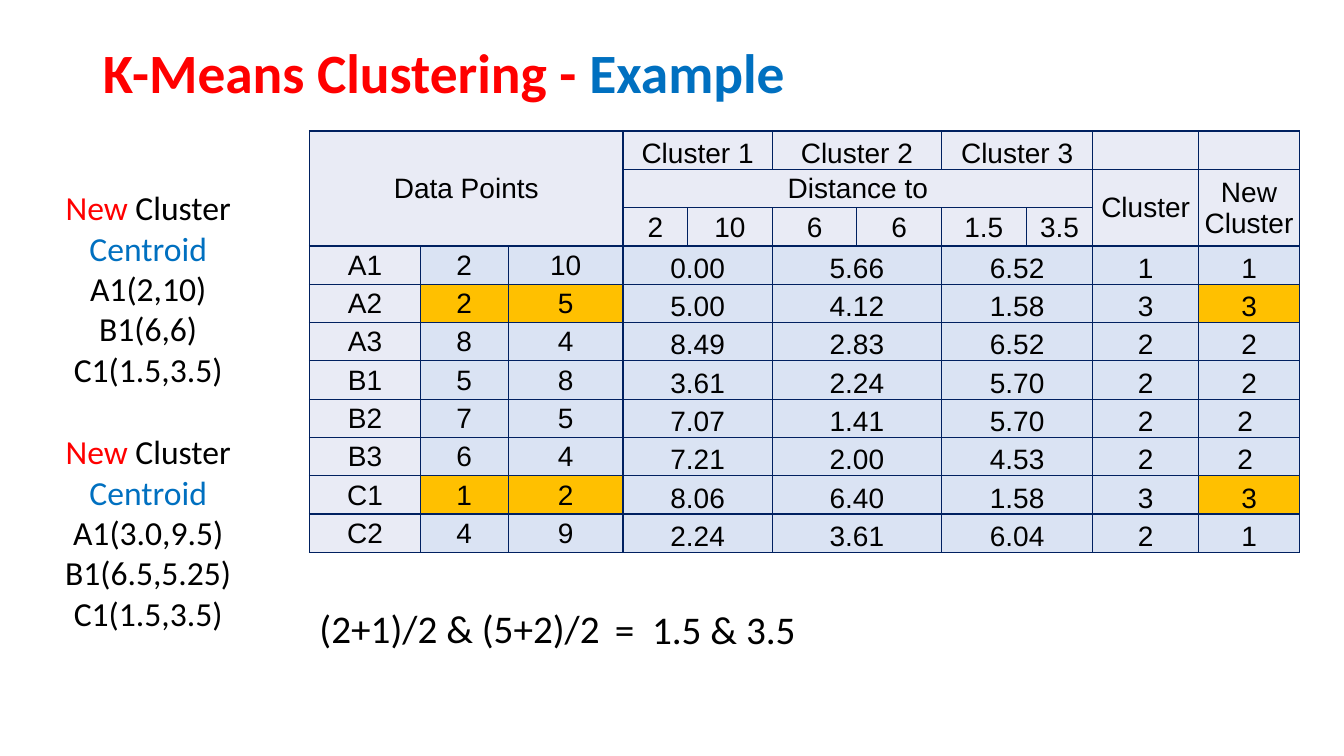
from lxml.etree import SubElement
from pptx import Presentation
from pptx.dml.color import RGBColor
from pptx.enum.text import MSO_ANCHOR as Anchor, MSO_AUTO_SIZE as AutoSize, PP_ALIGN as Align
from pptx.oxml.ns import qn
from pptx.util import Pt

PX = 9144
RED = RGBColor(0xFF, 0x00, 0x00)
BLUE = RGBColor(0x00, 0x70, 0xC0)
BLACK = RGBColor(0x00, 0x00, 0x00)
NAVY = RGBColor(0x00, 0x20, 0x60)
HEADER = RGBColor(0xE9, 0xEB, 0xF5)
BODY = RGBColor(0xDA, 0xE3, 0xF3)
GOLD = RGBColor(0xFF, 0xC0, 0x00)

COL_WIDTHS = [110, 87, 114, 64, 84, 84, 84, 84, 66, 105, 100]
ROW_HEIGHT = 38
HEADER_ROWS = 3
FIELD_COLS = [0, 1, 2, 3, 5, 7, 9, 10]
DISTANCE_COLS = [3, 5, 7]
HEADINGS = [
    (0, 0, 3, 3, "Data Points"),
    (1, 3, 1, 6, "Distance to"),
    (1, 9, 2, 1, "Cluster"),
    (1, 10, 2, 1, "New Cluster"),
]
CENTROID_COORDS = ["2", "10", "6", "6", "1.5", "3.5"]
POINTS = [
    ("A1", "2", "10", "0.00", "5.66", "6.52", "1", "1"),
    ("A2", "2", "5", "5.00", "4.12", "1.58", "3", "3"),
    ("A3", "8", "4", "8.49", "2.83", "6.52", "2", "2"),
    ("B1", "5", "8", "3.61", "2.24", "5.70", "2", "2"),
    ("B2", "7", "5", "7.07", "1.41", "5.70", "2", "2 "),
    ("B3", "6", "4", "7.21", "2.00", "4.53", "2", "2 "),
    ("C1", "1", "2", "8.06", "6.40", "1.58", "3", "3"),
    ("C2", "4", "9", "2.24", "3.61", "6.04", "2", "1"),
]
CENTROIDS = [
    (181, ["A1(2,10)", "B1(6,6)", "C1(1.5,3.5)"]),
    (423, ["A1(3.0,9.5)", "B1(6.5,5.25)", "C1(1.5,3.5)"]),
]


class Deck:
    """Holds the presentation style and the current slide."""

    font = "Calibri"
    table_font = "Arial"
    table_size = 20

    def __init__(self, width, height):
        self.prs = Presentation()
        self.prs.slide_width, self.prs.slide_height = width * PX, height * PX
        self.slide = self.prs.slides.add_slide(self.prs.slide_layouts[5])

    def place(self, sp, x, y, w, h):
        sp.left, sp.top, sp.width, sp.height = (v * PX for v in (x, y, w, h))

    def style(self, r, size, color, font, bold=False):
        r.font.name, r.font.size, r.font.bold = font, Pt(size), bold
        r.font.color.rgb = color

    def runs(self, p, parts, size, bold=False):
        for text, color in parts:
            r = p.add_run()
            r.text = text
            self.style(r, size, color, self.font, bold)

    def title(self, box, parts, size):
        sp = self.slide.shapes.title
        self.place(sp, *box)
        tf = sp.text_frame
        tf.auto_size = AutoSize.NONE
        tf.vertical_anchor = Anchor.MIDDLE
        p = tf.paragraphs[0]
        p.alignment, p.line_spacing = Align.LEFT, 0.9
        self.runs(p, parts, size, bold=True)

    def text(self, box, paragraphs, size, align=Align.LEFT, wrap=True):
        sp = self.slide.shapes.add_textbox(*(v * PX for v in box))
        tf = sp.text_frame
        tf.word_wrap = wrap
        for i, parts in enumerate(paragraphs):
            p = tf.add_paragraph() if i else tf.paragraphs[0]
            p.alignment = align
            self.runs(p, parts, size)
        return tf

    def table(self, x, y, widths, row_height, rows):
        box = (x, y, sum(widths), row_height * rows)
        table = self.slide.shapes.add_table(rows, len(widths), *(v * PX for v in box)).table
        table.first_row = table.horz_banding = False
        for column, width in zip(table.columns, widths):
            column.width = width * PX
        for row in table.rows:
            row.height = row_height * PX
            for cell in row.cells:
                self.border(cell)
                self.fill(cell, HEADER)
                cell.margin_left = cell.margin_right = cell.margin_top = PX
                cell.margin_bottom = 0
        return table

    def border(self, cell):
        tc_pr = cell._tc.get_or_add_tcPr()
        for side in ("a:lnL", "a:lnR", "a:lnT", "a:lnB"):
            ln = SubElement(tc_pr, qn(side), w=str(Pt(1)))
            SubElement(SubElement(ln, qn("a:solidFill")), qn("a:srgbClr"), val=str(NAVY))

    def fill(self, cell, color):
        cell.fill.solid()
        cell.fill.fore_color.rgb = color

    def cell(self, table, row, col, text, color=HEADER, anchor=Anchor.MIDDLE, rows=1, cols=1):
        cell = table.cell(row, col)
        if rows * cols > 1:
            cell.merge(table.cell(row + rows - 1, col + cols - 1))
        self.fill(cell, color)
        cell.vertical_anchor = anchor
        p = cell.text_frame.paragraphs[0]
        p.text = text
        p.alignment = Align.CENTER
        self.style(p.runs[0], self.table_size, BLACK, self.table_font)


def add_distances(deck):
    table = deck.table(307, 130, COL_WIDTHS, ROW_HEIGHT, HEADER_ROWS + len(POINTS))
    for row, col, rows, cols, text in HEADINGS:
        deck.cell(table, row, col, text, rows=rows, cols=cols)
    for number, col in enumerate(DISTANCE_COLS, 1):
        deck.cell(table, 0, col, f"Cluster {number}", anchor=Anchor.BOTTOM, cols=2)
    for col, coord in enumerate(CENTROID_COORDS, DISTANCE_COLS[0]):
        deck.cell(table, 2, col, coord)
    for row, point in enumerate(POINTS, HEADER_ROWS):
        for col, text in zip(FIELD_COLS, point):
            in_cluster_3 = point[-1] == "3" and col in (1, 2, 10)
            color = HEADER if col == 0 else GOLD if in_cluster_3 else BODY
            anchor = Anchor.MIDDLE if col < 3 else Anchor.BOTTOM
            cols = 2 if col in DISTANCE_COLS else 1
            deck.cell(table, row, col, text, color, anchor, cols=cols)


def main():
    deck = Deck(1333, 750)
    deck.title((92, 40, 1150, 70), [("K-Means Clustering - ", RED), ("Example", BLUE)], 39.6)
    add_distances(deck)
    heading = [("New", RED), (" Cluster ", BLACK), ("Centroid", BLUE)]
    for top, centroids in CENTROIDS:
        lines = [heading] + [[(c, BLACK)] for c in centroids]
        deck.text((46, top, 202, 293), lines, 24, Align.CENTER)
    deck.text((307, 595, 315, 57), [[("(2+1)/2 & (5+2)/2", BLACK)]], 28)
    tf = deck.text((600, 596, 202, 57), [[("= ", BLACK), ("1.5 & 3.5", BLACK)]], 28, wrap=False)
    tf.paragraphs[0].runs[0]._r.get_or_add_rPr().set("spc", "315")
    deck.prs.save("out.pptx")


if __name__ == "__main__":
    main()
